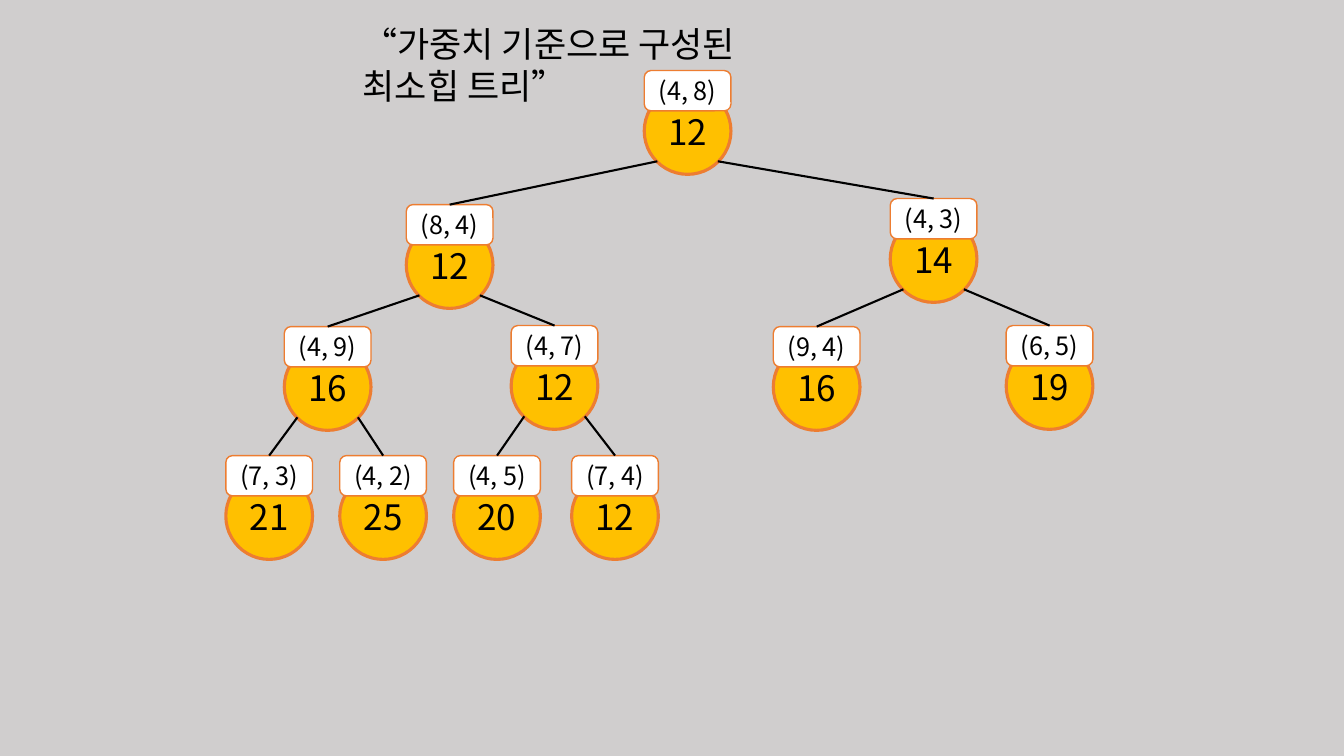
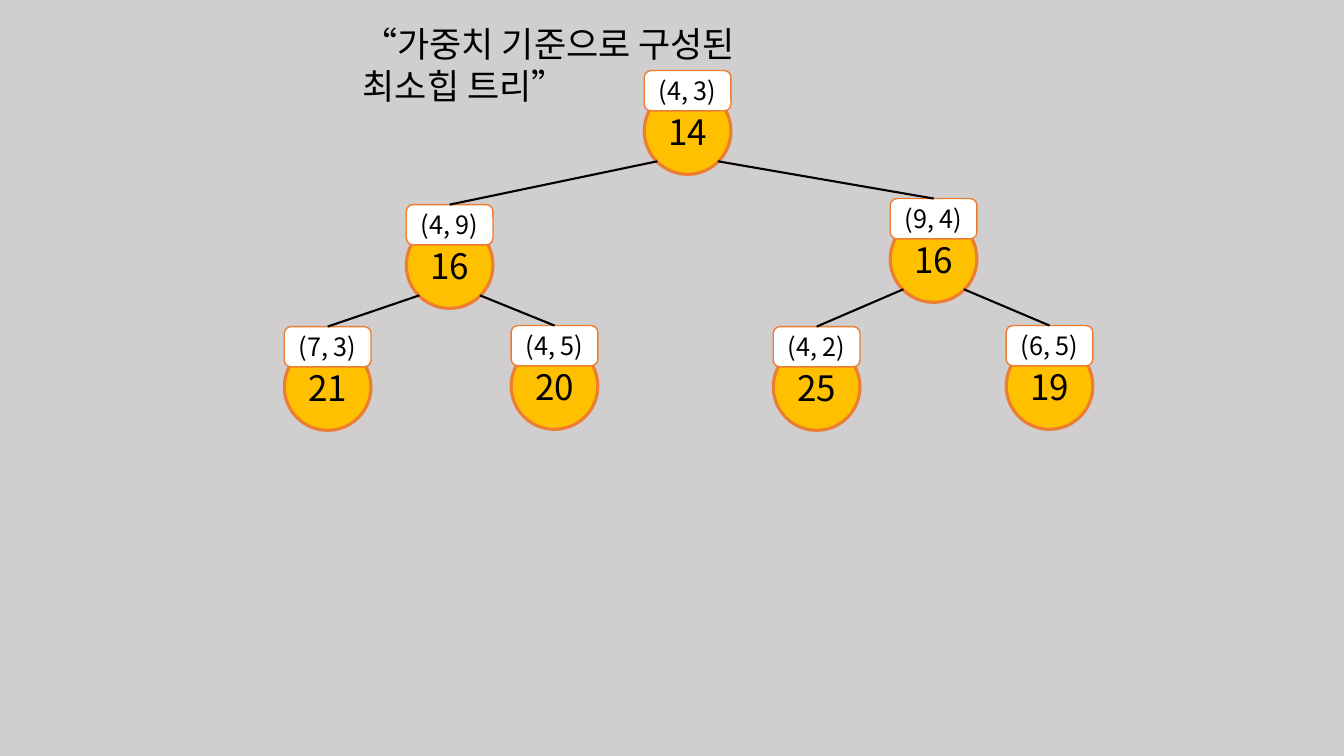
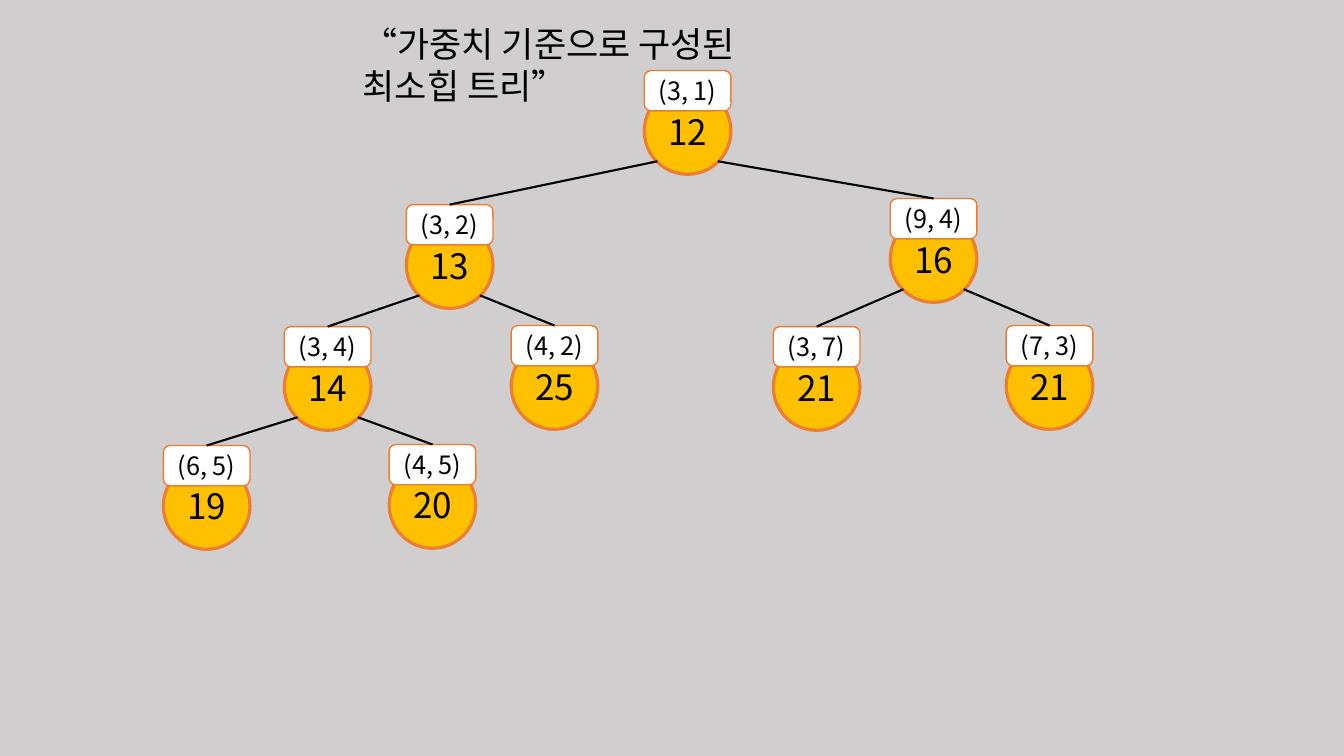
"""Draw three min-heap trees ordered by edge weight."""
from dataclasses import dataclass
from typing import NamedTuple

from lxml.etree import SubElement
from pptx import Presentation
from pptx.dml.color import RGBColor
from pptx.enum.shapes import MSO_CONNECTOR, MSO_SHAPE
from pptx.enum.text import MSO_ANCHOR, PP_ALIGN
from pptx.oxml.ns import qn
from pptx.util import Inches, Pt


@dataclass(frozen=True)
class Theme:
    back: RGBColor = RGBColor(0xD0, 0xCE, 0xCE)
    ink: RGBColor = RGBColor(0, 0, 0)
    gold: RGBColor = RGBColor(0xFF, 0xC0, 0)
    white: RGBColor = RGBColor(0xFF, 0xFF, 0xFF)
    rim: RGBColor = RGBColor(0xED, 0x7D, 0x31)
    font: str = "Noto Sans CJK KR"
    big: float = 25
    small: float = 18
    ring: float = 2.25
    edge: float = 1.5
    thin: float = 1


class Spot(NamedTuple):
    left: float
    top: float


class Node(NamedTuple):
    weight: int
    pair: tuple[int, int]


class Tree(NamedTuple):
    nodes: list[Node]
    leaves: list[Spot]


THEME = Theme()
TITLE = "“가중치 기준으로 구성된 최소힙 트리”"
SIZE = 0.86
TAG = 0.4
DROP = 0.17
REACH = 0.3
FOOT = 0.9
UPPER = [
    Spot(6.39, 0.7),
    Spot(4.03, 2.03), Spot(8.83, 1.97),
    Spot(2.82, 3.24), Spot(5.07, 3.23), Spot(7.67, 3.24), Spot(9.98, 3.23),
]
TREES = [
    Tree(
        [Node(12, (4, 8)), Node(12, (8, 4)), Node(14, (4, 3)), Node(16, (4, 9)),
         Node(12, (4, 7)), Node(16, (9, 4)), Node(19, (6, 5)), Node(21, (7, 3)),
         Node(25, (4, 2)), Node(20, (4, 5)), Node(12, (7, 4))],
        [Spot(left, 4.52) for left in (2.24, 3.37, 4.5, 5.67)],
    ),
    Tree(
        [Node(14, (4, 3)), Node(16, (4, 9)), Node(16, (9, 4)), Node(21, (7, 3)),
         Node(20, (4, 5)), Node(25, (4, 2)), Node(19, (6, 5))],
        [],
    ),
    Tree(
        [Node(12, (3, 1)), Node(13, (3, 2)), Node(16, (9, 4)), Node(14, (3, 4)),
         Node(25, (4, 2)), Node(21, (3, 7)), Node(21, (7, 3)), Node(19, (6, 5)),
         Node(20, (4, 5))],
        [Spot(1.62, 4.42), Spot(3.86, 4.41)],
    ),
]


def write(frame, text: str, size: float) -> None:
    """Add one styled run to the first paragraph."""
    run = frame.paragraphs[0].add_run()
    run.text = text
    run.font.name = THEME.font
    run.font.size = Pt(size)
    run.font.color.rgb = THEME.ink
    SubElement(run.font._element, qn("a:ea")).set("typeface", THEME.font)


def add_title(slide) -> None:
    """Add the title shared by all slides."""
    box = slide.shapes.add_textbox(Inches(3.5), Inches(0.17), Inches(4.76), Inches(0.52))
    box.text_frame.word_wrap = True
    write(box.text_frame, TITLE, THEME.big)


def add_part(group, kind, spot: Spot, high: float, fill: RGBColor,
             width: float, text: str, size: float):
    """Add one filled and labelled part of a node."""
    part = group.shapes.add_shape(
        kind, Inches(spot.left), Inches(spot.top), Inches(SIZE), Inches(high))
    part.shadow.inherit = False
    part.fill.solid()
    part.fill.fore_color.rgb = fill
    part.line.color.rgb = THEME.rim
    part.line.width = Pt(width)
    frame = part.text_frame
    frame.vertical_anchor = MSO_ANCHOR.MIDDLE
    frame.paragraphs[0].alignment = PP_ALIGN.CENTER
    write(frame, text, size)
    return part


def add_node(slide, spot: Spot, node: Node):
    """Add a weight circle under its pair tag and return the tag."""
    group = slide.shapes.add_group_shape()
    low = Spot(spot.left, spot.top + DROP)
    add_part(group, MSO_SHAPE.OVAL, low, SIZE, THEME.gold,
             THEME.ring, str(node.weight), THEME.big)
    return add_part(group, MSO_SHAPE.ROUNDED_RECTANGLE, spot, TAG, THEME.white,
                    THEME.thin, str(node.pair), THEME.small)


def add_edge(slide, root: Spot, side: int, tag) -> None:
    """Link a parent circle to the tag of its child."""
    x = Inches(root.left + SIZE / 2 + side * REACH)
    y = Inches(root.top + FOOT)
    line = slide.shapes.add_connector(MSO_CONNECTOR.STRAIGHT, x, y, x, y)
    line.end_connect(tag, 0)
    line.line.color.rgb = THEME.ink
    line.line.width = Pt(THEME.edge)
    SubElement(line._element.spPr, qn("a:effectLst"))


def add_tree(slide, tree: Tree) -> None:
    """Draw a heap, where node i hangs from node (i - 1) // 2."""
    spots = UPPER + tree.leaves
    for i, (spot, node) in enumerate(zip(spots, tree.nodes)):
        tag = add_node(slide, spot, node)
        if i:
            add_edge(slide, spots[(i - 1) // 2], -1 if i % 2 else 1, tag)


def main() -> None:
    """Build and save the deck."""
    deck = Presentation()
    deck.slide_width = Inches(13.33)
    deck.slide_height = Inches(7.5)
    for tree in TREES:
        slide = deck.slides.add_slide(deck.slide_layouts[6])
        slide.background.fill.solid()
        slide.background.fill.fore_color.rgb = THEME.back
        add_title(slide)
        add_tree(slide, tree)
    deck.save("out.pptx")


if __name__ == "__main__":
    main()
